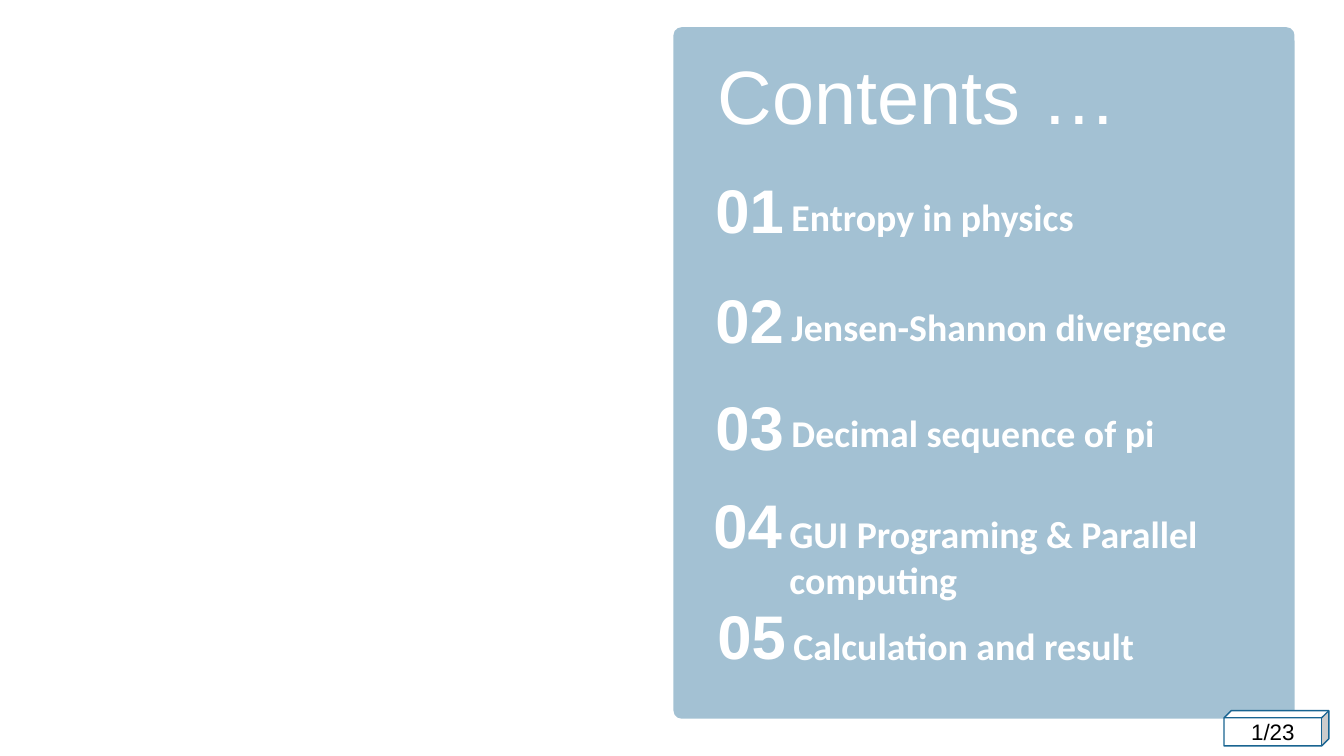
"""Contents slide with five numbered topics on a translucent panel."""
import lxml.etree
import pptx
import pptx.dml.color
import pptx.enum.shapes
import pptx.enum.text
import pptx.oxml.ns
import pptx.util

COLORS = {"panel": "196491", "white": "FFFFFF", "black": "000000"}
CELL = pptx.util.Inches(0.1)
COLUMNS, ROWS = 133.3, 75

TOPICS = [
    ("Entropy in physics", 69, 16.6, 18.7),
    ("Jensen-Shannon divergence", 69, 27.5, 29.6),
    ("Decimal sequence of pi", 69, 38.1, 40.2),
    ("GUI Programing & Parallel computing", 68.8, 47.8, 50.2),
    ("Calculation and result", 69.2, 58.8, 61.3),
]
NUMBER_WIDTH, NUMBER_HEIGHT = 10.7, 8.5
TOPIC_WIDTH, TOPIC_HEIGHT = 51, 5.6
TOPIC_OFFSET = 8.3


def grid(*cells):
    return [int(cell * CELL) for cell in cells]


def write(frame, text, size, font, color, bold=False, centered=False):
    para = frame.paragraphs[0]
    align = pptx.enum.text.PP_ALIGN
    para.alignment = align.CENTER if centered else align.LEFT
    span = para.add_run()
    span.text = text
    span.font.size = pptx.util.Pt(size)
    span.font.name = font
    span.font.bold = bold
    span.font.color.rgb = pptx.dml.color.RGBColor.from_string(COLORS[color])


deck = pptx.Presentation()
deck.slide_width, deck.slide_height = grid(COLUMNS, ROWS)
slide = deck.slides.add_slide(deck.slide_layouts[5])
shapes = slide.shapes
presets = pptx.enum.shapes.MSO_SHAPE
fit = pptx.enum.text.MSO_AUTO_SIZE.SHAPE_TO_FIT_TEXT
middle = pptx.enum.text.MSO_ANCHOR.MIDDLE

panel = shapes.add_shape(presets.ROUNDED_RECTANGLE, *grid(66.8, 2.7, 61.6, 68.6))
panel.adjustments[0] = 0.013
panel.shadow.inherit = False
panel.fill.solid()
panel.fill.fore_color.rgb = pptx.dml.color.RGBColor.from_string(COLORS["panel"])
panel.line.fill.background()
tint = panel._element.spPr.find(".//" + pptx.oxml.ns.qn("a:srgbClr"))
lxml.etree.SubElement(tint, pptx.oxml.ns.qn("a:alpha"), val="40000")

title = shapes.title
title.left, title.top, title.width, title.height = grid(70.2, 4.3, 54.6, 10.1)
title.text_frame.word_wrap = True
title.text_frame.auto_size = fit
title.text_frame.vertical_anchor = middle
write(title.text_frame, "Contents …", 54, "Arial", "white")
title._element.addprevious(panel._element)

for index, (topic, left, number_top, topic_top) in enumerate(TOPICS, start=1):
    group = shapes.add_group_shape()
    topic_box = group.shapes.add_textbox(
        *grid(left + TOPIC_OFFSET, topic_top, TOPIC_WIDTH, TOPIC_HEIGHT))
    number_box = group.shapes.add_textbox(
        *grid(left, number_top, NUMBER_WIDTH, NUMBER_HEIGHT))
    for box in (topic_box, number_box):
        frame = box.text_frame
        frame.word_wrap = True
        frame.auto_size = fit
        frame.margin_left = frame.margin_right = pptx.util.Inches(0.12)
    write(topic_box.text_frame, topic, 27, "Calibri", "white", bold=True)
    write(number_box.text_frame, f"{index:02}", 44, "Arial", "white",
          bold=True, centered=True)

counter = shapes.add_shape(presets.CUBE, *grid(121.4, 70.5, 10.4, 3.5))
counter.adjustments[0] = 0.203
counter.shadow.inherit = False
counter.fill.solid()
counter.fill.fore_color.rgb = pptx.dml.color.RGBColor.from_string(COLORS["white"])
counter.line.color.rgb = pptx.dml.color.RGBColor.from_string(COLORS["panel"])
counter.line.width = pptx.util.Pt(1)
counter.text_frame.vertical_anchor = middle
write(counter.text_frame, "1/23", 16, "Arial", "black", centered=True)

deck.save("out.pptx")
